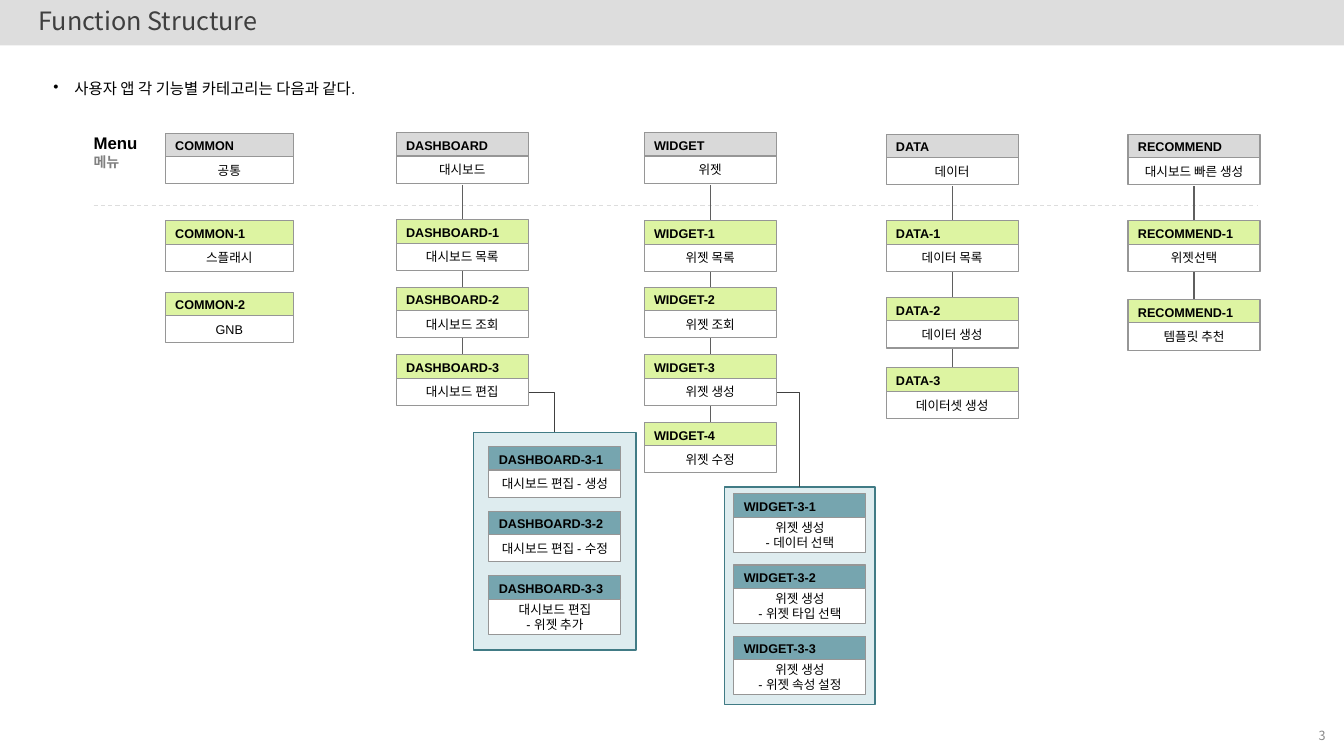
import pptx
import pptx.dml.color
import pptx.enum.dml
import pptx.enum.shapes
import pptx.enum.text
import pptx.oxml.ns
import pptx.util
from lxml import etree

COLORS = {
    "band": "DDDDDD", "title": "3F3F3F", "text": "000000", "muted": "808080",
    "number": "888888", "menu": "D9D9D9", "function": "DDF4A2", "detail": "76A5AF",
    "body": "FFFFFF", "border": "969696", "panel": "DEECEF", "panel_border": "417B85",
    "spine": "5F5F5F", "branch": "404040",
}
LATIN, KOREAN = "Arial", "Noto Sans CJK KR"
ALIGN = pptx.enum.text.PP_ALIGN
ANCHOR = pptx.enum.text.MSO_ANCHOR
qn = pptx.oxml.ns.qn

CELL = 0.1  # inches per grid column and row
COLUMNS, ROWS = 133.33, 75
HEAD, BODY, TALL_BODY, BODY_DROP = 2.5, 2.7, 3.5, 2.33
CARD_WIDTH = 13.1


def grid(cells):
    return pptx.util.Inches(cells * CELL)


def rgb(name):
    return pptx.dml.color.RGBColor.from_string(COLORS[name])


class FunctionMap:
    """Draws on one slide; every length is in grid columns and rows."""

    def __init__(self, slide):
        self.slide = slide
        self.shapes = slide.shapes

    def set_text(self, frame, text, size=9, color="text", bold=False, font=LATIN,
                 align=ALIGN.LEFT, anchor=ANCHOR.TOP, side=1):
        frame.word_wrap = True
        frame.auto_size = pptx.enum.text.MSO_AUTO_SIZE.NONE
        frame.vertical_anchor = anchor
        frame.margin_left = frame.margin_right = grid(side)
        frame.margin_top = frame.margin_bottom = grid(0.5 if side else 0)
        frame.text = text
        for paragraph in frame.paragraphs:
            paragraph.alignment = align
            style = paragraph.font
            style.size, style.bold, style.name = pptx.util.Pt(size), bold, font
            style.color.rgb = rgb(color)
            etree.SubElement(style._element, qn("a:ea")).set("typeface", KOREAN)
        return frame.paragraphs

    def title(self, text, left, top, width, height):
        heading = self.shapes.title
        heading.left, heading.top = grid(left), grid(top)
        heading.width, heading.height = grid(width), grid(height)
        line, = self.set_text(heading.text_frame, text, 18, "title", font=KOREAN)
        line.line_spacing = 0.9

    def label(self, text, left, top, width, height, **style):
        box = self.shapes.add_textbox(grid(left), grid(top), grid(width), grid(height))
        return self.set_text(box.text_frame, text, **style)

    def rect(self, left, top, width, height, fill, border=None, weight=0.75):
        box = self.shapes.add_shape(pptx.enum.shapes.MSO_SHAPE.RECTANGLE,
                                    grid(left), grid(top), grid(width), grid(height))
        box.shadow.inherit = False
        box.fill.solid()
        box.fill.fore_color.rgb = rgb(fill)
        if border:
            box.line.color.rgb = rgb(border)
            box.line.width = pptx.util.Pt(weight)
        else:
            box.line.fill.background()
        return box

    def card(self, left, top, code, name, fill, width=CARD_WIDTH):
        head = self.rect(left, top, width, HEAD, fill, "border")
        self.set_text(head.text_frame, code, bold=True, anchor=ANCHOR.MIDDLE)
        height = TALL_BODY if "\n" in name else BODY
        body = self.rect(left, top + BODY_DROP, width, height, "body", "border")
        self.set_text(body.text_frame, name, font=BODY_FONTS.get(code, LATIN),
                      align=ALIGN.CENTER, anchor=ANCHOR.MIDDLE, side=0)

    def line(self, start, end, color, weight=0.75, dashed=False, bent=False):
        kinds = pptx.enum.shapes.MSO_CONNECTOR
        link = self.shapes.add_connector(kinds.ELBOW if bent else kinds.STRAIGHT,
                                         *map(grid, start + end))
        link.line.color.rgb = rgb(color)
        link.line.width = pptx.util.Pt(weight)
        if dashed:
            link.line.dash_style = pptx.enum.dml.MSO_LINE.DASH
        properties = link._element.spPr
        etree.SubElement(properties, qn("a:effectLst"))
        if bent:  # a single corner: across, then down
            properties.find(qn("a:prstGeom")).set("prst", "bentConnector2")


BODY_FONTS = {"WIDGET-1": "Calibri"}

# Menu columns: left, width, has spine, cards as (row, code, name), menu card first
MENUS = [
    (16.4, 12.7, False, [(13.2, "COMMON", "공통"), (21.9, "COMMON-1", "스플래시"),
                         (29, "COMMON-2", "GNB")]),
    (39.3, CARD_WIDTH, True, [(13.15, "DASHBOARD", "대시보드"),
                              (21.8, "DASHBOARD-1", "대시보드 목록"),
                              (28.5, "DASHBOARD-2", "대시보드 조회"),
                              (35.2, "DASHBOARD-3", "대시보드 편집")]),
    (63.9, CARD_WIDTH, True, [(13.15, "WIDGET", "위젯"), (21.9, "WIDGET-1", "위젯 목록"),
                              (28.5, "WIDGET-2", "위젯 조회"),
                              (35.2, "WIDGET-3", "위젯 생성"),
                              (41.9, "WIDGET-4", "위젯 수정")]),
    (87.9, CARD_WIDTH, True, [(13.3, "DATA", "데이터"), (21.9, "DATA-1", "데이터 목록"),
                              (29.5, "DATA-2", "데이터 생성"),
                              (36.5, "DATA-3", "데이터셋 생성")]),
    (111.9, CARD_WIDTH, True, [(13.3, "RECOMMEND", "대시보드 빠른 생성"),
                               (21.9, "RECOMMEND-1", "위젯선택"),
                               (29.7, "RECOMMEND-1", "템플릿 추천")]),
]

# Detail panels: parent code, panel box, card left, first card row, card pitch, names
PANELS = [
    ("DASHBOARD-3", (47, 42.9, 16.1, 21.6), 48.5, 44.3, 6.4,
     ["대시보드 편집 - 생성", "대시보드 편집 - 수정", "대시보드 편집\n- 위젯 추가"]),
    ("WIDGET-3", (71.9, 48.3, 14.9, 21.6), 72.8, 49, 7.05,
     ["위젯 생성\n- 데이터 선택", "위젯 생성\n- 위젯 타입 선택", "위젯 생성\n- 위젯 속성 설정"]),
]
BRANCHES = [((52.5, 38.9), (55, 42.9)), ((77.1, 38.9), (79.3, 48.3))]


def main():
    deck = pptx.Presentation()
    deck.slide_width, deck.slide_height = grid(COLUMNS), grid(ROWS)
    page = FunctionMap(deck.slides.add_slide(deck.slide_layouts[5]))

    # Title on its band, which goes to the back
    band = page.rect(0, 0, COLUMNS, 4.5, "band")
    page.shapes._spTree.insert(2, band._element)
    page.title("Function Structure", 2.8, 0.4, 127.1, 3.7)

    # Lead sentence with a hanging bullet
    lead, = page.label("사용자 앱 각 기능별 카테고리는 다음과 같다.", 4.3, 7.4, 109.5, 2.8, size=11)
    layout = lead._p.get_or_add_pPr()
    layout.set("marL", str(grid(2.1)))
    layout.set("indent", str(-grid(2.1)))
    bullet = etree.Element(qn("a:buChar"), char="•")
    layout.find(qn("a:defRPr")).addprevious(bullet)

    # Row heading and divider
    _, korean_menu = page.label("Menu\n메뉴", 8.3, 12.7, 10.9, 5.1, size=12, bold=True)
    korean_menu.font.size = pptx.util.Pt(10)
    korean_menu.font.color.rgb = rgb("muted")
    page.line((9.3, 20.4), (124.7, 20.4), "band", dashed=True)

    # Menu columns, each spine behind its cards
    for left, width, has_spine, cards in MENUS:
        if has_spine:
            middle = left + width / 2
            page.line((middle, cards[0][0] + HEAD + BODY), (middle, cards[-1][0]), "spine")
        for index, (row, code, name) in enumerate(cards):
            page.card(left, row, code, name, "function" if index else "menu", width)

    # Detail panels
    for parent, box, left, top, pitch, names in PANELS:
        page.rect(*box, "panel", "panel_border", 1)
        for index, name in enumerate(names):
            page.card(left, top + index * pitch, f"{parent}-{index + 1}", name, "detail")
    for start, end in BRANCHES:
        page.line(start, end, "branch", 0.5, bent=True)

    # Page number
    page.label("3", 129, 71, 4.33, 4, color="number", font=KOREAN,
               align=ALIGN.CENTER, anchor=ANCHOR.MIDDLE)
    deck.save("out.pptx")


if __name__ == "__main__":
    main()
